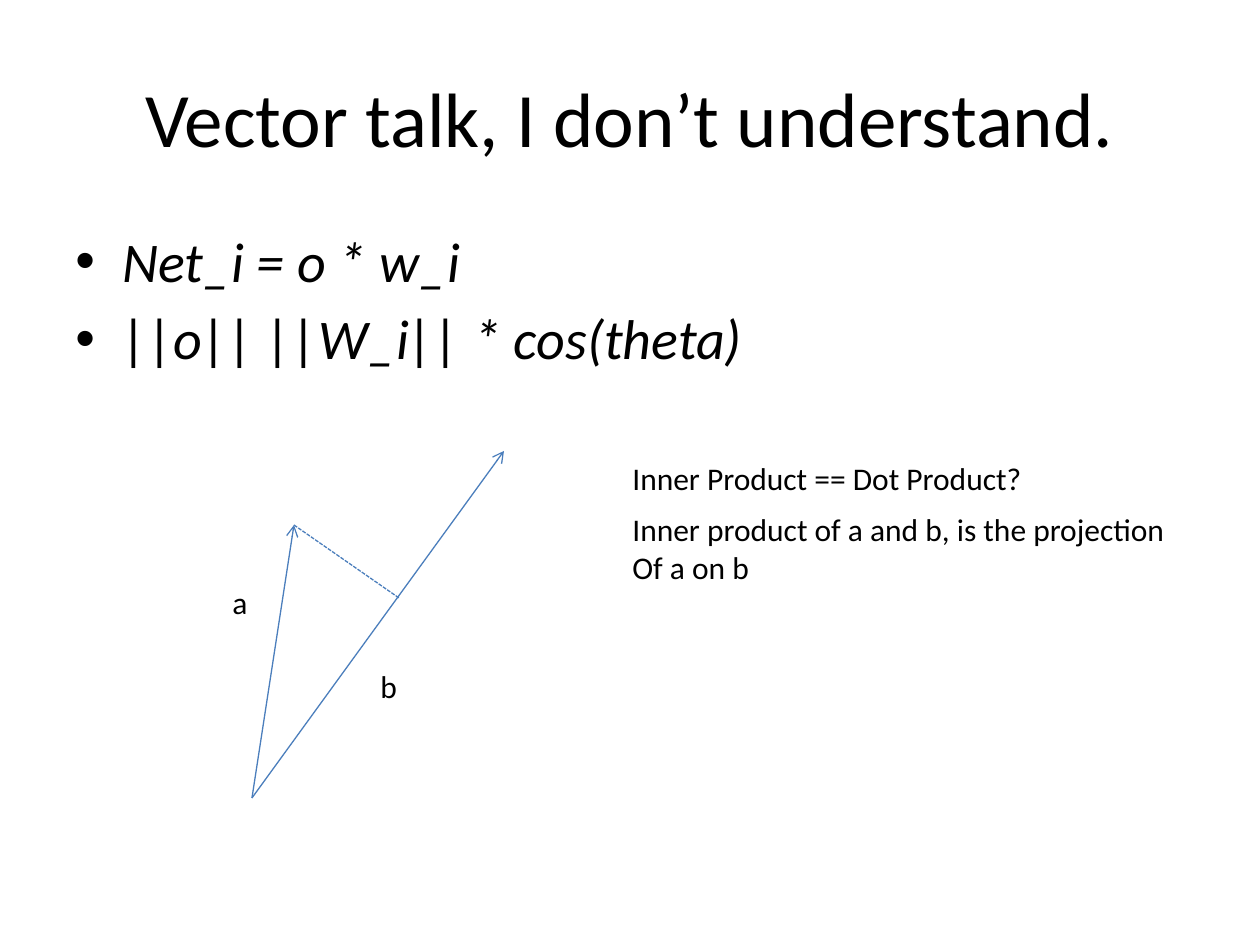
from dataclasses import dataclass

from lxml import etree
from pptx import Presentation
from pptx.dml.color import RGBColor
from pptx.enum.dml import MSO_LINE
from pptx.enum.shapes import MSO_CONNECTOR
from pptx.enum.text import MSO_ANCHOR, PP_ALIGN
from pptx.oxml.ns import qn
from pptx.util import Pt

STRAIGHT = MSO_CONNECTOR.STRAIGHT
DASHED = MSO_LINE.SQUARE_DOT
TOP, MIDDLE = MSO_ANCHOR.TOP, MSO_ANCHOR.MIDDLE
LEFT, CENTER = PP_ALIGN.LEFT, PP_ALIGN.CENTER
PIXEL = 914400 // 126


@dataclass(frozen=True)
class Theme:
    font: str = "Calibri"
    text: RGBColor = RGBColor(0x00, 0x00, 0x00)
    line: RGBColor = RGBColor(0x4B, 0x7E, 0xBC)
    title_size: int = 44
    body_size: int = 32
    label_size: int = 18
    line_width: float = 0.75


theme = Theme()


def add_text(box, lines, size, anchor=TOP, align=LEFT, italic=False, wrap=True):
    shape = slide.shapes.add_textbox(*(value * PIXEL for value in box))
    frame = shape.text_frame
    frame.word_wrap = wrap
    frame.vertical_anchor = anchor
    frame.text = "\n".join(lines)
    for paragraph in frame.paragraphs:
        paragraph.alignment = align
        font = paragraph.font
        font.name, font.size, font.italic = theme.font, Pt(size), italic
        font.color.rgb = theme.text
    return frame


def add_line(start, end, arrow=True):
    connector = slide.shapes.add_connector(
        STRAIGHT, *(value * PIXEL for value in start + end))
    connector.line.color.rgb = theme.line
    connector.line.width = Pt(theme.line_width)
    if arrow:
        outline = connector.line._get_or_add_ln()
        etree.SubElement(outline, qn("a:tailEnd"), type="arrow")
    else:
        connector.line.dash_style = DASHED
    etree.SubElement(connector._element.spPr, qn("a:effectLst"))


presentation = Presentation()
presentation.slide_width = 1260 * PIXEL
presentation.slide_height = 945 * PIXEL
slide = presentation.slides.add_slide(presentation.slide_layouts[6])

# Title
add_text((63, 38, 1134, 157), ["Vector talk, I don’t understand."],
         theme.title_size, anchor=MIDDLE, align=CENTER)

# Formulas
formulas = add_text((63, 220, 1134, 624),
                    ["Net_i = o * w_i", "||o|| ||W_i|| * cos(theta)"],
                    theme.body_size, italic=True)
indent = 47 * PIXEL
for paragraph in formulas.paragraphs:
    paragraph.space_before = Pt(6)
    properties = paragraph._p.get_or_add_pPr()
    properties.set("marL", str(indent))
    properties.set("indent", str(-indent))
    bullet_font = etree.Element(qn("a:buFont"), typeface="Arial")
    bullet = etree.Element(qn("a:buChar"), char="•")
    properties.find(qn("a:spcBef")).addnext(bullet_font)
    bullet_font.addnext(bullet)

# Vectors a and b, and the projection of a on b
origin, tip_a, tip_b, foot = (252, 798), (294, 525), (504, 451), (399, 598)
add_line(origin, tip_a)
add_line(origin, tip_b)
add_line(tip_a, foot, arrow=False)

# Vector labels and remarks
labels = [
    ((220, 577, 40, 50), ["a"]),
    ((368, 661, 43, 50), ["b"]),
    ((620, 504, 564, 89),
     ["Inner product of a and b, is the projection", "Of a on b"]),
    ((620, 453, 420, 50), ["Inner Product == Dot Product?"]),
]
for box, lines in labels:
    add_text(box, lines, theme.label_size, wrap=False)

presentation.save("out.pptx")
